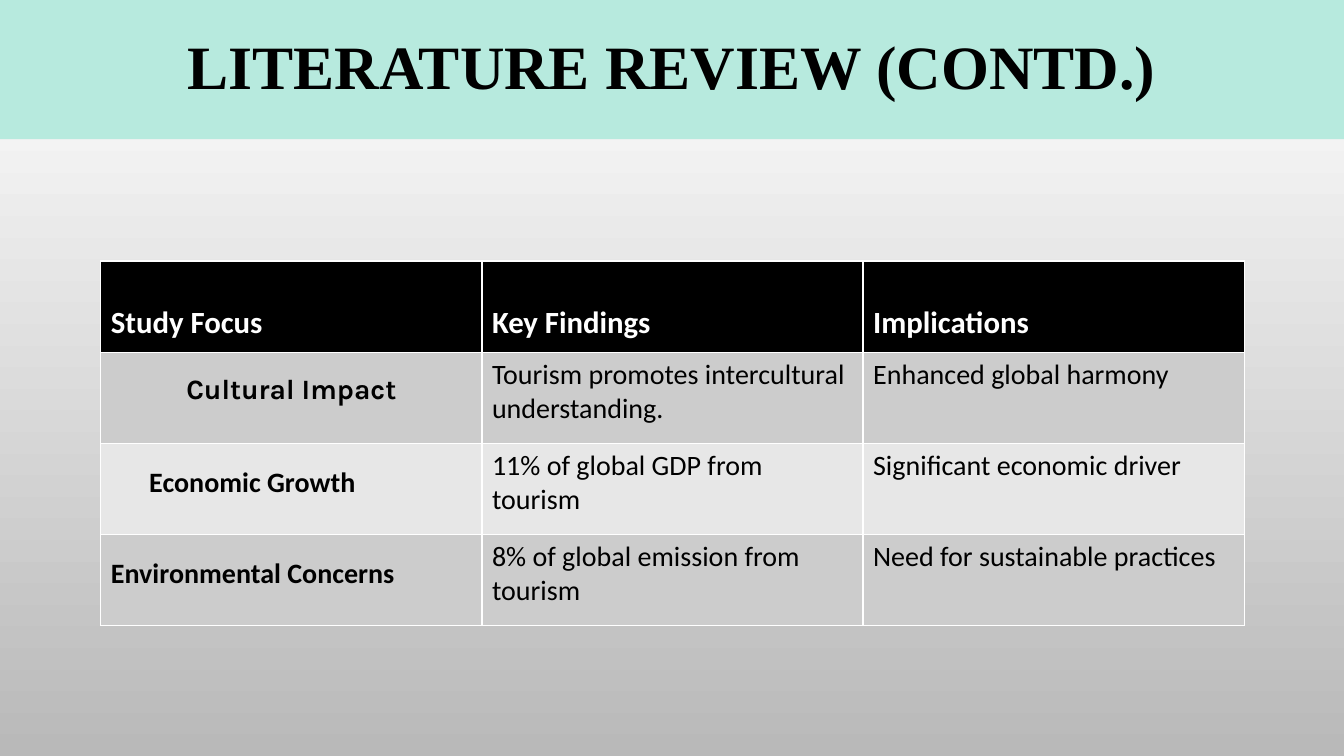
"""Build the literature review slide with its table of studies."""
from dataclasses import dataclass

from pptx import Presentation
from pptx.dml.color import RGBColor
from pptx.enum.text import MSO_ANCHOR, PP_ALIGN
from pptx.slide import Slide
from pptx.table import _Cell
from pptx.util import Inches, Pt

LEFT, CENTER, JUSTIFY = PP_ALIGN.LEFT, PP_ALIGN.CENTER, PP_ALIGN.JUSTIFY
TOP, MIDDLE, BOTTOM = MSO_ANCHOR.TOP, MSO_ANCHOR.MIDDLE, MSO_ANCHOR.BOTTOM

BLACK = RGBColor(0x00, 0x00, 0x00)
WHITE = RGBColor(0xFF, 0xFF, 0xFF)
MINT = RGBColor(0xB7, 0xEA, 0xDE)
GREY = RGBColor(0xB9, 0xB9, 0xB9)
DARK = RGBColor(0xCC, 0xCC, 0xCC)
LIGHT = RGBColor(0xE7, 0xE7, 0xE7)

WIDTH, HEIGHT = Inches(13.33), Inches(7.5)


@dataclass(frozen=True)
class Style:
    """Look of the text in a cell."""

    size: int = 20
    font: str = "Calibri"
    color: RGBColor = BLACK
    bold: bool = False
    align: PP_ALIGN = LEFT
    anchor: MSO_ANCHOR = TOP
    space: float = 1.0
    indent: float = 0.1
    base: float = 0.05


@dataclass(frozen=True)
class Study:
    """One row of the table."""

    focus: str
    finding: str
    result: str
    style: Style


HEAD = Style(size=22, color=WHITE, bold=True, align=JUSTIFY, anchor=BOTTOM, base=0.1)
BODY = Style()
NAMES = ("Study Focus", "Key Findings", "Implications")
STUDIES = (
    Study("Cultural Impact", "Tourism promotes intercultural understanding.",
          "Enhanced global harmony",
          Style(font="Karla", bold=True, align=CENTER, space=1.5)),
    Study("Economic Growth", "11% of global GDP from tourism",
          "Significant economic driver",
          Style(bold=True, space=1.5, indent=0.48)),
    Study("Environmental Concerns", "8% of global emission from tourism",
          "Need for sustainable practices",
          Style(bold=True, space=1.5)),
)


def paint(slide: Slide) -> None:
    """Fill the background from white down to grey."""
    fill = slide.background.fill
    fill.gradient()
    fill.gradient_angle = 270
    for stop, color in zip(fill.gradient_stops, (WHITE, GREY)):
        stop.color.rgb = color


def add_title(slide: Slide, text: str) -> None:
    """Set the title as a band across the top."""
    title = slide.shapes.title
    title.left, title.top, title.width, title.height = 0, 0, WIDTH, Inches(1.38)
    title.fill.solid()
    title.fill.fore_color.rgb = MINT
    frame = title.text_frame
    frame.text = text
    frame.vertical_anchor = MIDDLE
    line = frame.paragraphs[0]
    line.alignment = CENTER
    line.line_spacing = 0.9
    line.font.name = "Times New Roman"
    line.font.size = Pt(44)
    line.font.bold = True
    line.font.color.rgb = BLACK


def fill_cell(cell: _Cell, text: str, style: Style, color: RGBColor) -> None:
    """Write one cell in a style over a plain fill."""
    cell.fill.solid()
    cell.fill.fore_color.rgb = color
    cell.text = text
    cell.vertical_anchor = style.anchor
    cell.margin_left = Inches(style.indent)
    cell.margin_bottom = Inches(style.base)
    line = cell.text_frame.paragraphs[0]
    line.alignment = style.align
    line.line_spacing = style.space
    line.font.name = style.font
    line.font.size = Pt(style.size)
    line.font.bold = style.bold
    line.font.color.rgb = style.color


def add_grid(slide: Slide) -> None:
    """Add the table of studies."""
    table = slide.shapes.add_table(
        len(STUDIES) + 1, len(NAMES),
        Inches(1), Inches(2.59), Inches(11.34), Inches(3.62)).table
    for col, name in enumerate(NAMES):
        fill_cell(table.cell(0, col), name, HEAD, BLACK)
    for row, study in enumerate(STUDIES, start=1):
        color = DARK if row % 2 else LIGHT
        fill_cell(table.cell(row, 0), study.focus, study.style, color)
        fill_cell(table.cell(row, 1), study.finding, BODY, color)
        fill_cell(table.cell(row, 2), study.result, BODY, color)


def main() -> None:
    """Build and save the slide."""
    deck = Presentation()
    deck.slide_width, deck.slide_height = WIDTH, HEIGHT
    slide = deck.slides.add_slide(deck.slide_layouts[5])
    paint(slide)
    add_title(slide, "LITERATURE REVIEW (CONTD.)")
    add_grid(slide)
    deck.save("out.pptx")


if __name__ == "__main__":
    main()
